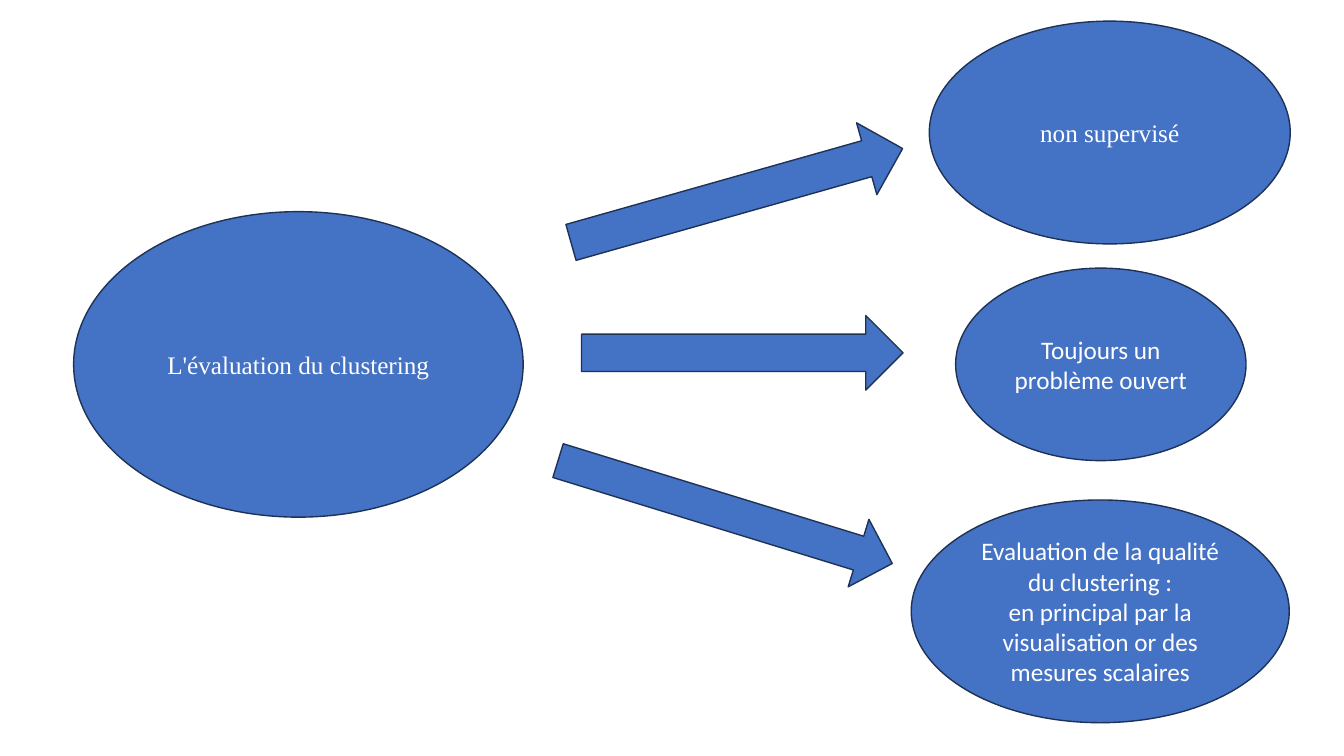
"""Build a slide on the evaluation of clustering: one topic, three arrows, three findings."""
import pptx
import pptx.util
import pptx.dml.color
import pptx.enum.shapes
import pptx.enum.text

Pt = pptx.util.Pt
RGB = pptx.dml.color.RGBColor.from_string
SHAPE = pptx.enum.shapes.MSO_SHAPE
COLORS = {"fill": "4472C4", "line": "1E3256", "text": "FFFFFF"}

prs = pptx.Presentation()
prs.slide_width, prs.slide_height = Pt(960), Pt(540)
s = prs.slides.add_slide(prs.slide_layouts[6])


def add_block(kind, box):
    sp = s.shapes.add_shape(kind, *[Pt(v) for v in box])
    sp.shadow.inherit = False
    sp.fill.solid()
    sp.fill.fore_color.rgb = RGB(COLORS["fill"])
    sp.line.color.rgb = RGB(COLORS["line"])
    sp.line.width = Pt(1)
    return sp


ellipses = [
    ((52.6, 151.2, 321.1, 218.2), "Times New Roman", ["L'évaluation du clustering"]),
    ((663.8, 15.1, 257.8, 159.1), "Times New Roman", ["non supervisé"]),
    ((682.6, 191.5, 207.4, 137.5), "Calibri", ["Toujours un", "problème ouvert"]),
    ((650.9, 357.1, 270, 159.1), "Calibri",
     ["Evaluation de la qualité du clustering :",
      "en principal par la visualisation or des mesures scalaires"]),
]
for box, font, lines in ellipses:
    tf = add_block(SHAPE.OVAL, box).text_frame
    frame_format = {"word_wrap": True, "vertical_anchor": pptx.enum.text.MSO_ANCHOR.MIDDLE}
    for name, value in frame_format.items():
        setattr(tf, name, value)
    tf.text = "\n".join(lines)
    for p in tf.paragraphs:
        p.alignment = pptx.enum.text.PP_ALIGN.CENTER
        r = p.runs[0]
        for name, value in {"name": font, "size": Pt(18)}.items():
            setattr(r.font, name, value)
        r.font.color.rgb = RGB(COLORS["text"])

arrows = [
    ((403.2, 113, 246.2, 53.3), -15.8),
    ((415.4, 225.4, 229.7, 53.3), 0),
    ((393.1, 340.6, 249.8, 50.4), 17.1),
]
for box, angle in arrows:
    add_block(SHAPE.RIGHT_ARROW, box).rotation = angle

prs.save("out.pptx")
